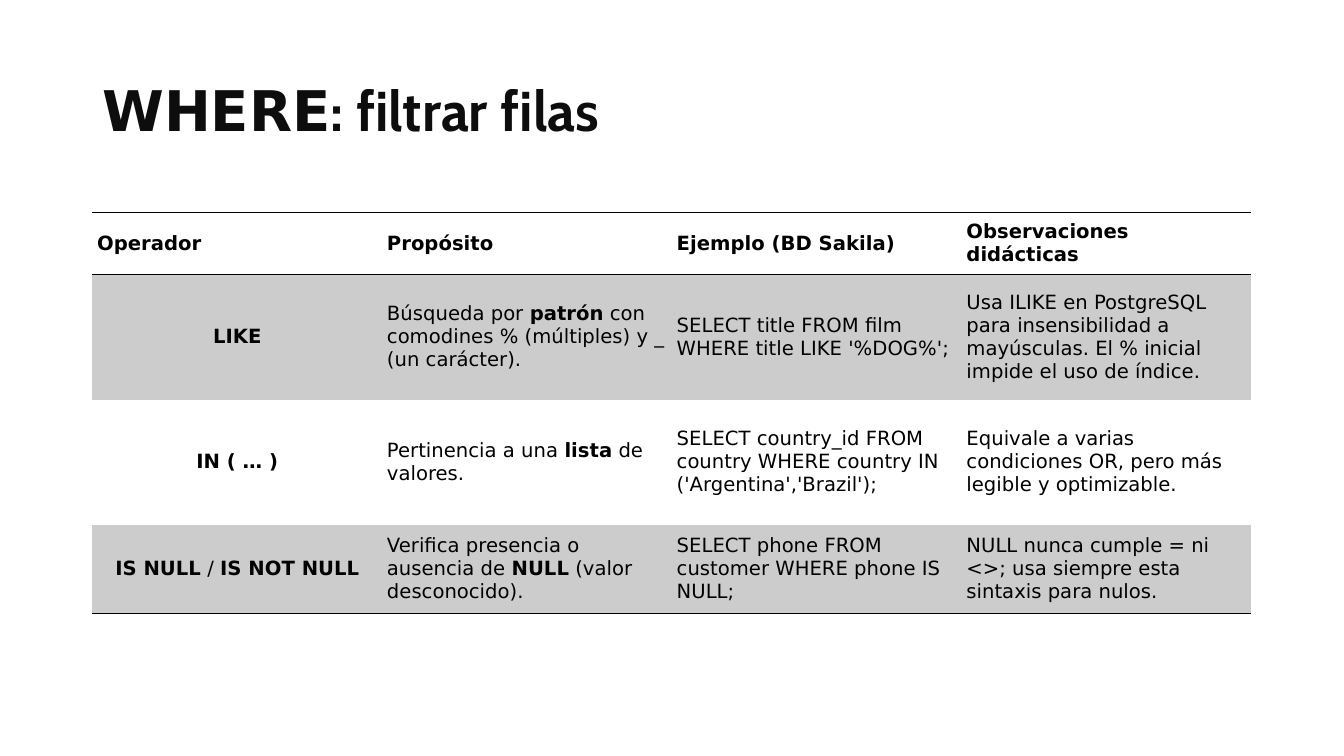
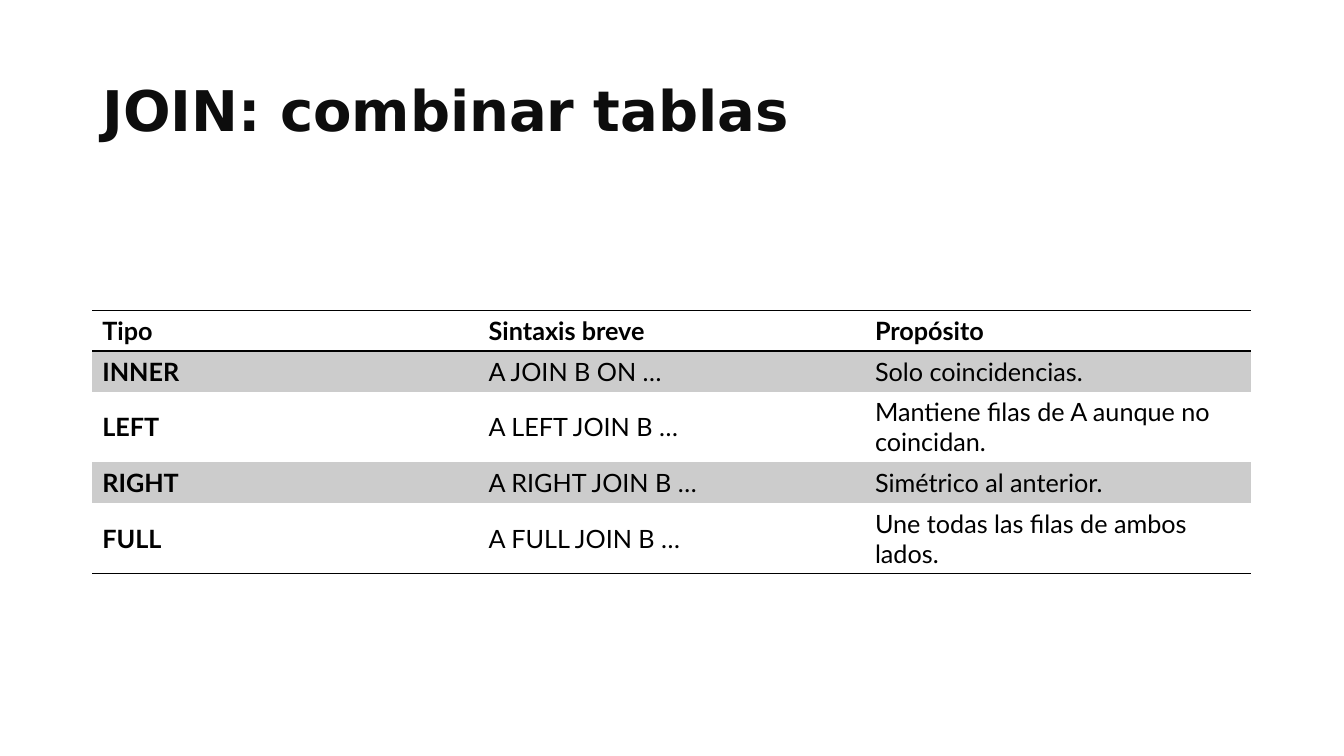
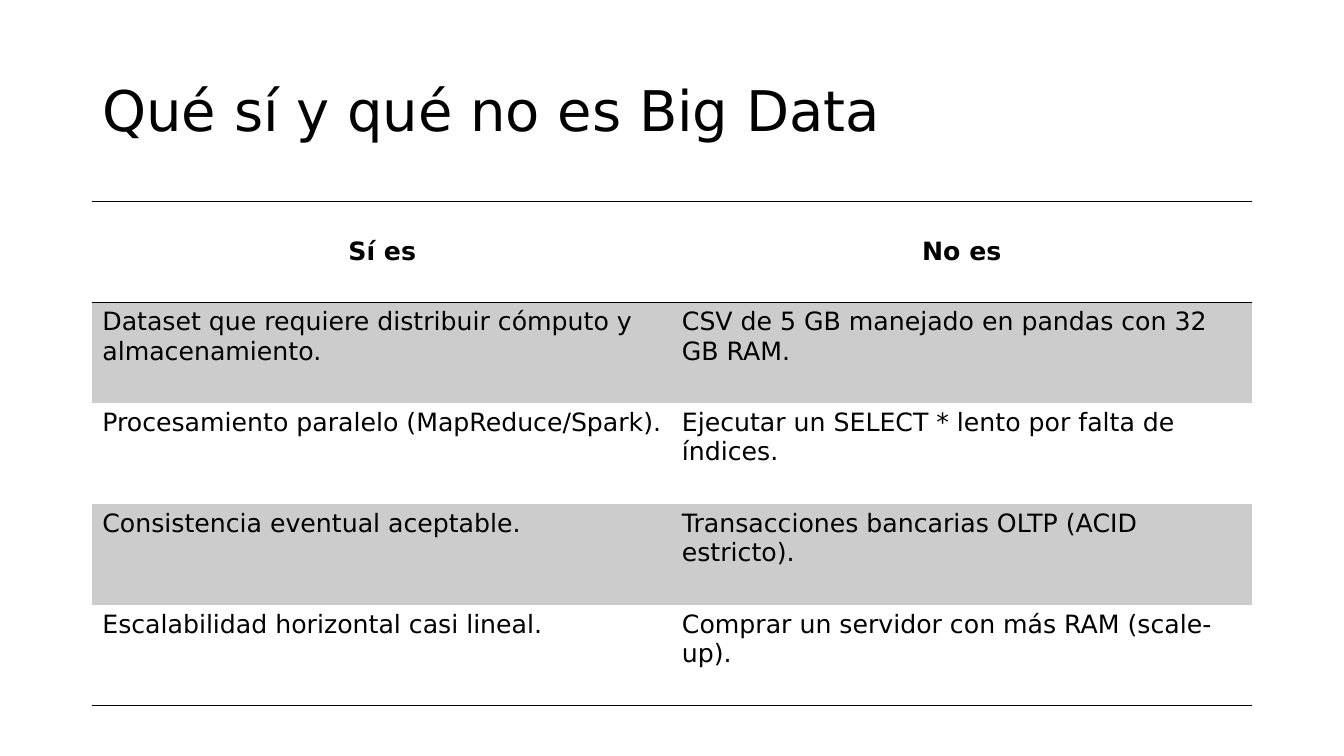
import pptx
import pptx.dml.color
import pptx.enum.text
import pptx.oxml
import pptx.oxml.ns
import pptx.util

Cm = pptx.util.Cm
qn = pptx.oxml.ns.qn
ALIGN = pptx.enum.text.PP_ALIGN
ANCHOR = pptx.enum.text.MSO_ANCHOR

SANS, TITLE_FONT, LATO = "DejaVu Sans", "Cabin", "Lato"
BLACK, TITLE_BLACK, BAND = "000000", "0D0D0D", "CCCCCC"
LEFT, WIDTH = Cm(2.33), Cm(29.21)
NO_STYLE_NO_GRID = "{2D5ABB26-0587-4C30-8999-92F81FD0307C}"

OPERATORS = [
    ["Operador", "Propósito", "Ejemplo (BD Sakila)", "Observaciones didácticas"],
    ["**LIKE**",
     "Búsqueda por **patrón** con comodines % (múltiples) y _ (un carácter).",
     "SELECT title FROM film WHERE title LIKE '%DOG%';",
     "Usa ILIKE en PostgreSQL para insensibilidad a mayúsculas. "
     "El % inicial impide el uso de índice."],
    ["**IN ( … )**",
     "Pertinencia a una **lista** de valores.",
     "SELECT country_id FROM country WHERE country IN ('Argentina','Brazil');",
     "Equivale a varias condiciones OR, pero más legible y optimizable."],
    ["**IS NULL** / **IS NOT NULL**",
     "Verifica presencia o ausencia de **NULL** (valor desconocido).",
     "SELECT phone FROM customer WHERE phone IS NULL;",
     "NULL nunca cumple = ni <>; usa siempre esta sintaxis para nulos."],
]
JOINS = [
    ["Tipo", "Sintaxis breve", "Propósito"],
    ["**INNER**", "A JOIN B ON …", "Solo coincidencias."],
    ["**LEFT**", "A LEFT JOIN B …", "Mantiene filas de A aunque no coincidan."],
    ["**RIGHT**", "A RIGHT JOIN B …", "Simétrico al anterior."],
    ["**FULL**", "A FULL JOIN B …", "Une todas las filas de ambos lados."],
]
BIG_DATA = [
    ["Sí es", "No es"],
    ["Dataset que requiere distribuir cómputo y almacenamiento.",
     "CSV de 5 GB manejado en pandas con 32 GB RAM."],
    ["Procesamiento paralelo (MapReduce/Spark).",
     "Ejecutar un SELECT * lento por falta de índices."],
    ["Consistencia eventual aceptable.",
     "Transacciones bancarias OLTP (ACID estricto)."],
    ["Escalabilidad horizontal casi lineal.",
     "Comprar un servidor con más RAM (scale-up)."],
]


def rgb(color):
    return pptx.dml.color.RGBColor.from_string(color)


def add_run(p, text, font, size, color, bold):
    r = p.add_run()
    r.text = text
    r.font.name = font
    r.font.size = pptx.util.Pt(size)
    r.font.color.rgb = rgb(color)
    r.font.bold = bold


def add_slide(prs, title, color=TITLE_BLACK, bold=True):
    """Add a slide whose title is a list of (text, font) parts."""
    s = prs.slides.add_slide(prs.slide_layouts[5])
    sp = s.shapes.title
    sp.left, sp.top, sp.width, sp.height = LEFT, Cm(1.01), WIDTH, Cm(3.68)
    tf = sp.text_frame
    tf.vertical_anchor = ANCHOR.MIDDLE
    p = tf.paragraphs[0]
    p.alignment = ALIGN.LEFT
    p.line_spacing = 0.9
    for text, font in title:
        add_run(p, text, font, 40, color, bold)
    return s


def add_border(cell, side):
    """Draw a 1 pt rule on one side: lnT or lnB. Call before filling the cell."""
    cell._tc.get_or_add_tcPr().append(pptx.oxml.parse_xml(
        f'<a:{side} xmlns:a="http://schemas.openxmlformats.org/drawingml/2006/main" '
        f'w="12700"><a:solidFill><a:srgbClr val="{BLACK}"/></a:solidFill></a:{side}>'))


def style_cell(cell, row, last_row):
    """Rule the header and the last row, and band every other body row."""
    if row == 0:
        add_border(cell, "lnT")
    if row in (0, last_row):
        add_border(cell, "lnB")
    if row % 2:
        cell.fill.solid()
        cell.fill.fore_color.rgb = rgb(BAND)
    else:
        cell.fill.background()


def write_cell(cell, text, font, size, header):
    """Write text in which **marks** enclose the bold parts."""
    p = cell.text_frame.paragraphs[0]
    for i, part in enumerate(text.split("**")):
        if part:
            add_run(p, part, font, size, BLACK, header or i % 2 == 1)
    return p


def add_table(s, rows, top, heights, font=SANS, size=18, margins=(0.25, 0.13),
              body_anchor=ANCHOR.MIDDLE, centered=lambda row, col: False):
    """Add a ruled table; top, heights and margins (side, top) are in cm."""
    frame = s.shapes.add_table(len(rows), len(rows[0]), LEFT, Cm(top),
                               WIDTH, Cm(sum(heights)))
    for style_id in frame.element.iter(qn("a:tableStyleId")):
        style_id.text = NO_STYLE_NO_GRID
    table = frame.table
    for i, texts in enumerate(rows):
        table.rows[i].height = Cm(heights[i])
        for j, text in enumerate(texts):
            cell = table.cell(i, j)
            style_cell(cell, i, len(rows) - 1)
            cell.margin_left = cell.margin_right = Cm(margins[0])
            cell.margin_top = cell.margin_bottom = Cm(margins[1])
            cell.vertical_anchor = body_anchor if i else ANCHOR.MIDDLE
            p = write_cell(cell, text, font, size, i == 0)
            p.alignment = ALIGN.CENTER if centered(i, j) else ALIGN.LEFT


def main():
    prs = pptx.Presentation()
    prs.slide_width, prs.slide_height = Cm(33.87), Cm(19.05)

    s = add_slide(prs, [("WHERE", SANS), (": filtrar filas", TITLE_FONT)])
    add_table(s, OPERATORS, 5.36, [1.56, 3.15, 3.15, 2.24], size=14,
              margins=(0.12, 0.08), centered=lambda row, col: row > 0 and col == 0)

    s = add_slide(prs, [("JOIN: combinar tablas", SANS)])
    add_table(s, JOINS, 7.82, [1.02, 1.02, 1.78, 1.02, 1.78], font=LATO)

    s = add_slide(prs, [("Qué sí y qué no es Big Data", SANS)], BLACK, bold=False)
    add_table(s, BIG_DATA, 5.08, [2.54] * 5, body_anchor=ANCHOR.TOP,
              centered=lambda row, col: row == 0)

    prs.save("out.pptx")


if __name__ == "__main__":
    main()
